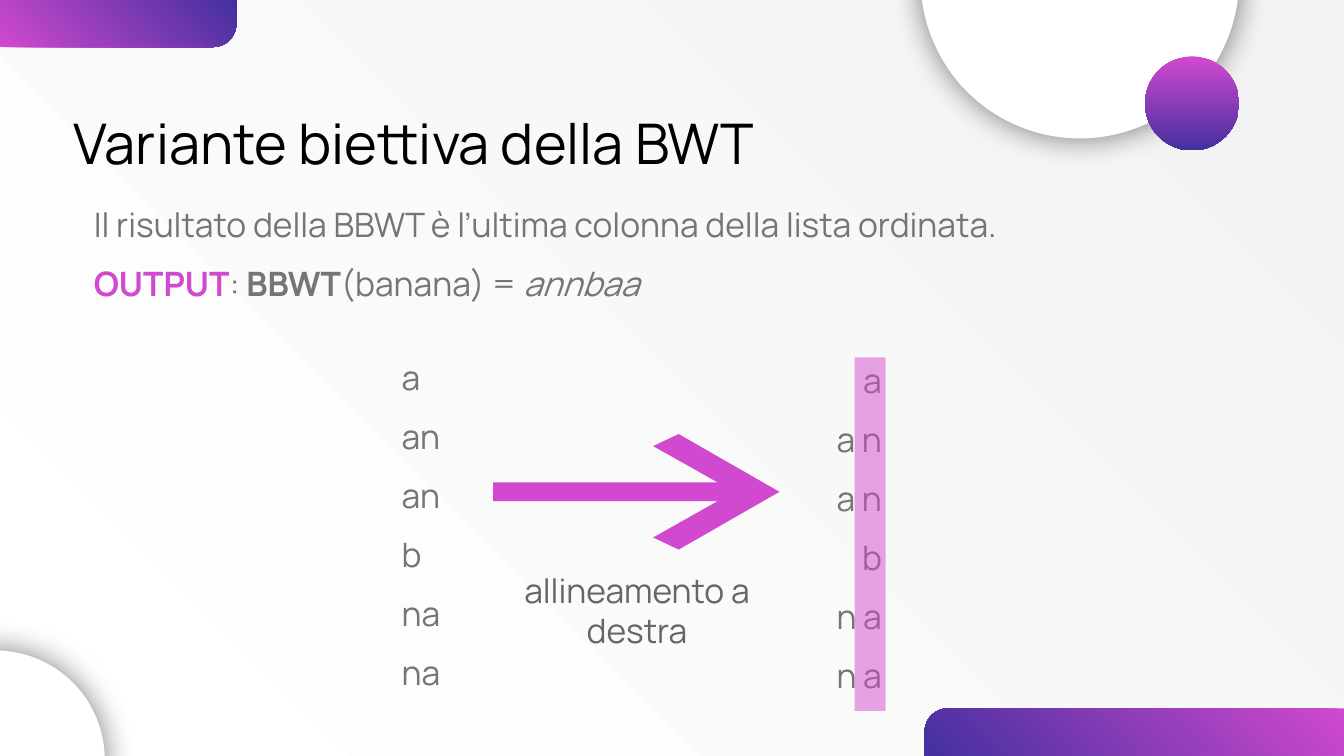
from dataclasses import dataclass

from lxml import etree
from pptx import Presentation
from pptx import util as u
from pptx.dml import color
from pptx.enum import shapes, text
from pptx.oxml import ns


@dataclass(frozen=True)
class Theme:
    """Colours, font and type sizes of the deck."""
    pink: str = "D149CE"
    violet: str = "43309F"
    white: str = "FFFFFF"
    pale: str = "F3F3F3"
    black: str = "000000"
    body: str = "757575"
    label: str = "666666"
    font: str = "Manrope"
    title_size: int = 30
    body_size: int = 18


THEME = Theme()
KIND = shapes.MSO_SHAPE
ALIGN = text.PP_ALIGN


def rgb(value):
    """Turn a hex string into a colour."""
    return color.RGBColor.from_string(value)


def fill_gradient(fill, first, last, angle):
    """Fill with two colours at an anticlockwise angle."""
    fill.gradient()
    fill.gradient_angle = angle
    for stop, value in zip(fill.gradient_stops, (first, last)):
        stop.color.rgb = rgb(value)


def add_child(parent, tag, **attributes):
    """Append a DrawingML element."""
    return etree.SubElement(parent, ns.qn(tag), attributes)


def add_alpha(colour_element, percent):
    """Make a colour element partly transparent."""
    add_child(colour_element, "a:alpha", val=str(percent * 1000))


def add_plain(page, kind, left, top, width, height):
    """Add a preset shape without line or shadow."""
    shape = page.shapes.add_shape(kind, *map(u.Inches, (left, top, width, height)))
    shape.line.fill.background()
    shape.shadow.inherit = False
    return shape


def add_corner_bar(page, left, top, width, rotation=0):
    """Add a mirrored gradient bar with one round corner."""
    bar = add_plain(page, KIND.ROUND_1_RECTANGLE, left, top, width, 0.35)
    bar.adjustments[0] = 0.5
    bar.rotation = rotation
    bar._element.spPr.find(ns.qn("a:xfrm")).set("flipH", "1")
    fill_gradient(bar.fill, THEME.pink, THEME.violet, 315)


def add_white_disc(page, left, top, size):
    """Add a white circle with a soft shadow all round."""
    disc = add_plain(page, KIND.OVAL, left, top, size, size)
    disc.fill.solid()
    disc.fill.fore_color.rgb = rgb(THEME.white)
    effects = disc._element.spPr.find(ns.qn("a:effectLst"))
    shadow = add_child(effects, "a:outerShdw", blurRad=str(u.Pt(16.9)), dist="0",
                       dir="0", algn="ctr", rotWithShape="0")
    add_alpha(add_child(shadow, "a:srgbClr", val=THEME.black), 50)


def add_gradient_disc(page, left, top, size):
    """Add a circle that runs from pink to violet."""
    disc = add_plain(page, KIND.OVAL, left, top, size, size)
    fill_gradient(disc.fill, THEME.pink, THEME.violet, 270)


def add_span(para, words, size=THEME.body_size, colour=THEME.body, bold=False, italic=False):
    """Add one formatted run of text."""
    span = para.add_run()
    span.text = words
    span.font.name = THEME.font
    span.font.size = u.Pt(size)
    span.font.color.rgb = rgb(colour)
    span.font.bold = bold
    span.font.italic = italic


def add_text(page, place, lines, align=ALIGN.LEFT, indent=0.15, inset=0.05,
             anchor=text.MSO_ANCHOR.TOP, grow=False):
    """Add a text box whose lines are lists of (words, format) pairs."""
    box = page.shapes.add_textbox(*map(u.Inches, place))
    frame = box.text_frame
    frame.word_wrap = True
    frame.vertical_anchor = anchor
    frame.margin_top = frame.margin_bottom = u.Inches(inset)
    if grow:
        frame.auto_size = text.MSO_AUTO_SIZE.SHAPE_TO_FIT_TEXT
    for index, spans in enumerate(lines):
        para = frame.add_paragraph() if index else frame.paragraphs[0]
        para._p.get_or_add_pPr().set("marL", str(u.Inches(indent)))
        para.alignment = align
        para.space_before = u.Pt(10 if index else 0)
        for words, style in spans:
            add_span(para, words, **style)


def add_arrow(page, left, right, middle):
    """Add the open-headed arrow, symmetric about its middle."""
    upper = [(left, 0.07), (right - 0.46, 0.07), (right - 0.94, 0.34), (right - 0.75, 0.43)]
    outline = [(x, middle - y) for x, y in upper] + [(right, middle)]
    outline += [(x, middle + y) for x, y in reversed(upper)]
    points = [(u.Inches(x), u.Inches(y)) for x, y in outline]
    builder = page.shapes.build_freeform(*points[0])
    builder.add_line_segments(points[1:], close=True)
    arrow = builder.convert_to_shape()
    arrow.fill.solid()
    arrow.fill.fore_color.rgb = rgb(THEME.pink)
    arrow.line.fill.background()
    arrow.shadow.inherit = False


def add_highlight(page, left, top, width, height):
    """Add a half-transparent band over a column."""
    band = add_plain(page, KIND.RECTANGLE, left, top, width, height)
    band.fill.solid()
    band.fill.fore_color.rgb = rgb(THEME.pink)
    add_alpha(band._element.spPr.find(ns.qn("a:solidFill"))[0], 50)


def main():
    """Build the slide and save it."""
    deck = Presentation()
    deck.slide_width = u.Inches(10)
    deck.slide_height = u.Inches(10 * 9 / 16)
    page = deck.slides.add_slide(deck.slide_layouts[6])
    fill_gradient(page.background.fill, THEME.white, THEME.pale, 45)

    add_corner_bar(page, 6.88, 5.27, 3.12)
    add_corner_bar(page, 0, 0, 1.76, rotation=180)
    add_white_disc(page, -0.85, 4.84, 1.63)
    add_white_disc(page, 6.85, -1.34, 2.37)
    add_gradient_disc(page, 8.52, 0.42, 0.7)

    title = ("Variante biettiva della BWT", {"size": THEME.title_size, "colour": THEME.black})
    add_text(page, (0.45, 0.8, 8.44, 0.52), [[title]], indent=0, inset=0.1,
             anchor=text.MSO_ANCHOR.MIDDLE)
    add_text(page, (0.45, 1.47, 8.73, 0.85), [
        [("Il risultato della BBWT è l’ultima colonna della lista ordinata.", {})],
        [("OUTPUT", {"colour": THEME.pink, "bold": True}), (": ", {}),
         ("BBWT", {"bold": True}), ("(banana) = ", {}), ("annbaa", {"italic": True})],
    ], grow=True)

    factors = ["a", "an", "an", "b", "na", "na"]
    add_text(page, (5.89, 2.63, 0.77, 2.62), [[(" ".join(word), {})] for word in factors],
             align=ALIGN.RIGHT, grow=True)
    add_text(page, (2.74, 2.61, 0.77, 3.06), [[(word, {})] for word in factors], grow=True)
    add_text(page, (3.6, 4.14, 2.13, 1.07),
             [[("allineamento a destra", {"colour": THEME.label})]],
             align=ALIGN.CENTER, inset=0.1)
    add_arrow(page, 3.67, 5.8, 3.66)
    add_highlight(page, 6.36, 2.66, 0.23, 2.63)
    deck.save("out.pptx")


if __name__ == "__main__":
    main()
